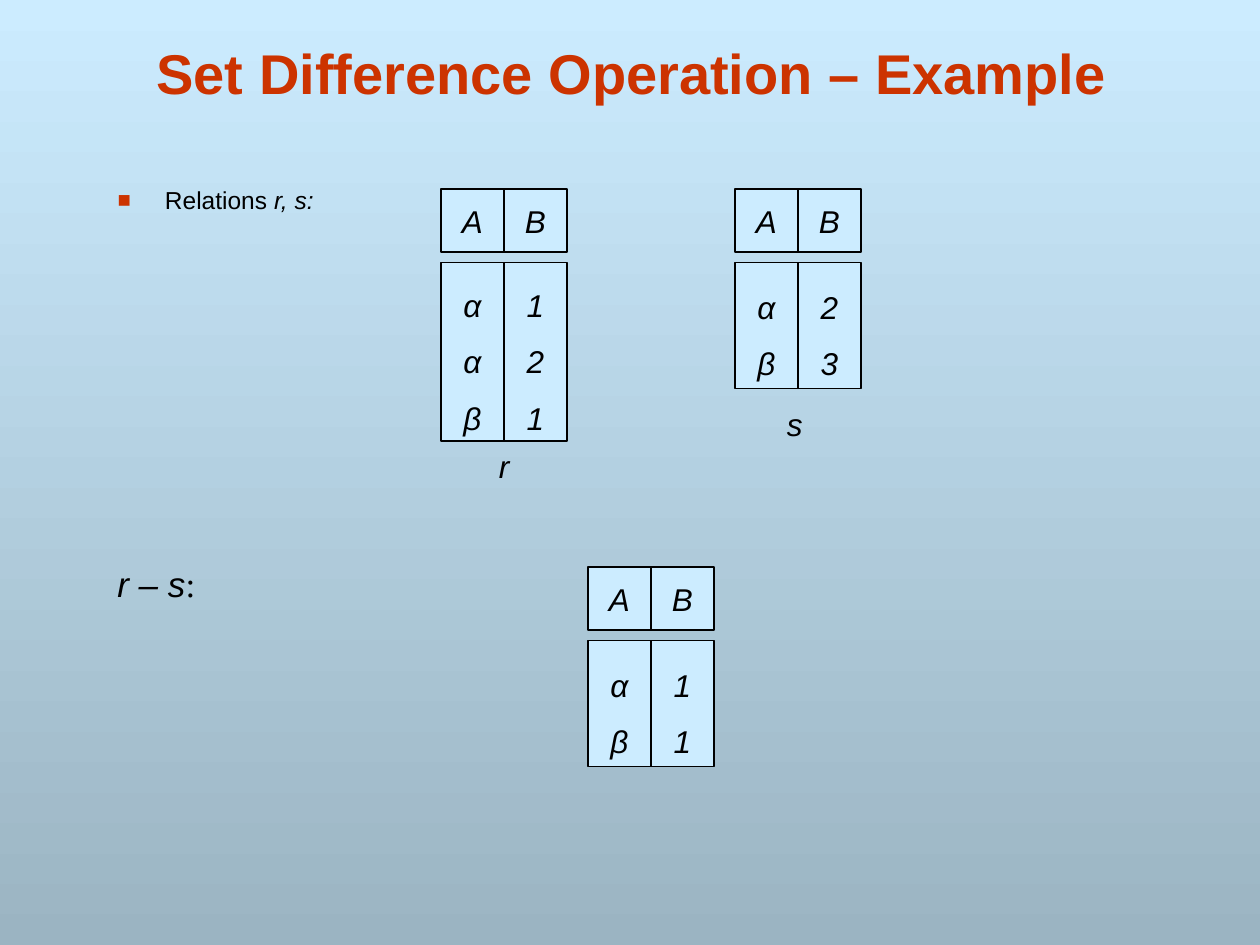
from lxml import etree
from pptx import Presentation
from pptx.dml.color import RGBColor
from pptx.enum import shapes, text
from pptx.oxml import ns
from pptx.util import Pt

COLORS = {"sky": "CCECFF", "slate": "9BB4C2", "accent": "CC3300", "ink": "000000"}
CELL = 36
BODY_TOP = 42
INDENT = 27


def color(name):
    return RGBColor.from_string(COLORS[name])


def move(shape, box):
    shape.left, shape.top, shape.width, shape.height = (Pt(v) for v in box)


def add_run(paragraph, words, size, italic=False, bold=False, ink="ink", face="Arial"):
    run = paragraph.add_run()
    run.text = words
    font = run.font
    font.name, font.size = face, Pt(size)
    font.italic, font.bold = italic, bold
    font.color.rgb = color(ink)


def hang(paragraph):
    """Give a list line its hanging indent and space before."""
    paragraph.space_before = Pt(8.8)
    properties = paragraph._p.get_or_add_pPr()
    properties.set("marL", str(Pt(INDENT)))
    properties.set("indent", str(Pt(-INDENT)))
    return properties


def paint_background(slide):
    fill = slide.background.fill
    fill.gradient()
    fill.gradient_angle = 270
    for stop, name in zip(fill.gradient_stops, ("sky", "slate")):
        stop.color.rgb = color(name)


def place_title(title, box):
    move(title, box)
    frame = title.text_frame
    frame.auto_size = text.MSO_AUTO_SIZE.NONE
    frame.vertical_anchor = text.MSO_ANCHOR.BOTTOM
    heading = frame.paragraphs[0]
    heading.alignment = text.PP_ALIGN.CENTER
    add_run(heading, "Set Difference Operation – Example", 32, bold=True, ink="accent")


def place_relations_line(body, box):
    move(body, box)
    body.text_frame.auto_size = text.MSO_AUTO_SIZE.NONE
    line = body.text_frame.paragraphs[0]
    properties = hang(line)
    bullet_color = etree.SubElement(properties, ns.qn("a:buClr"))
    etree.SubElement(bullet_color, ns.qn("a:srgbClr"), val=COLORS["accent"])
    etree.SubElement(properties, ns.qn("a:buSzPct"), val="90000")
    etree.SubElement(properties, ns.qn("a:buFont"), typeface="Arial")
    etree.SubElement(properties, ns.qn("a:buChar"), char="■")
    add_run(line, "Relations ", 14)
    add_run(line, "r, s:", 14, italic=True)


def add_difference_line(slide, box):
    frame = slide.shapes.add_textbox(*(Pt(v) for v in box)).text_frame
    frame.word_wrap = True
    line = frame.paragraphs[0]
    hang(line)
    add_run(line, "r – s", 20, italic=True)
    add_run(line, ":", 20, face="Times New Roman")


def add_cell(slide, box, values, line_spacing=None):
    cell = slide.shapes.add_shape(shapes.MSO_SHAPE.RECTANGLE, *(Pt(v) for v in box))
    cell.shadow.inherit = False
    cell.fill.solid()
    cell.fill.fore_color.rgb = color("sky")
    cell.line.color.rgb = color("ink")
    cell.line.width = Pt(0.75)
    frame = cell.text_frame
    frame.word_wrap = False
    frame.vertical_anchor = text.MSO_ANCHOR.MIDDLE
    for index, value in enumerate(values):
        entry = frame.add_paragraph() if index else frame.paragraphs[0]
        entry.alignment = text.PP_ALIGN.CENTER
        entry.line_spacing = line_spacing
        add_run(entry, value, 18, italic=True)


def add_relation(slide, left, top, height, columns):
    """Draw a header row above one tall cell for each attribute."""
    for index, (attribute, values) in enumerate(columns.items()):
        x = left + index * CELL
        add_cell(slide, (x, top, CELL, CELL), [attribute])
        add_cell(slide, (x, top + BODY_TOP, CELL, height), values, 1.5)


def add_relation_name(slide, box, name):
    frame = slide.shapes.add_textbox(*(Pt(v) for v in box)).text_frame
    frame.word_wrap = False
    frame.auto_size = text.MSO_AUTO_SIZE.SHAPE_TO_FIT_TEXT
    frame.vertical_anchor = text.MSO_ANCHOR.MIDDLE
    label = frame.paragraphs[0]
    label.alignment = text.PP_ALIGN.CENTER
    label.space_before = Pt(11.2)
    add_run(label, name, 18, italic=True)


def main():
    deck = Presentation()
    deck.slide_width, deck.slide_height = Pt(720), Pt(540)
    slide = deck.slides.add_slide(deck.slide_layouts[1])
    paint_background(slide)
    place_title(slide.shapes.title, (43, 16, 636, 48))
    place_relations_line(slide.placeholders[1], (60, 102, 554, 26))
    add_difference_line(slide, (60, 318, 554, 26))
    add_relation(slide, 252, 108, 102, {"A": "ααβ", "B": "121"})
    add_relation(slide, 420, 108, 72, {"A": "αβ", "B": "23"})
    add_relation_name(slide, (278, 252, 20, 29), "r")
    add_relation_name(slide, (442.5, 228, 23, 29), "s")
    add_relation(slide, 336, 324, 72, {"A": "αβ", "B": "11"})
    deck.save("out.pptx")


if __name__ == "__main__":
    main()
